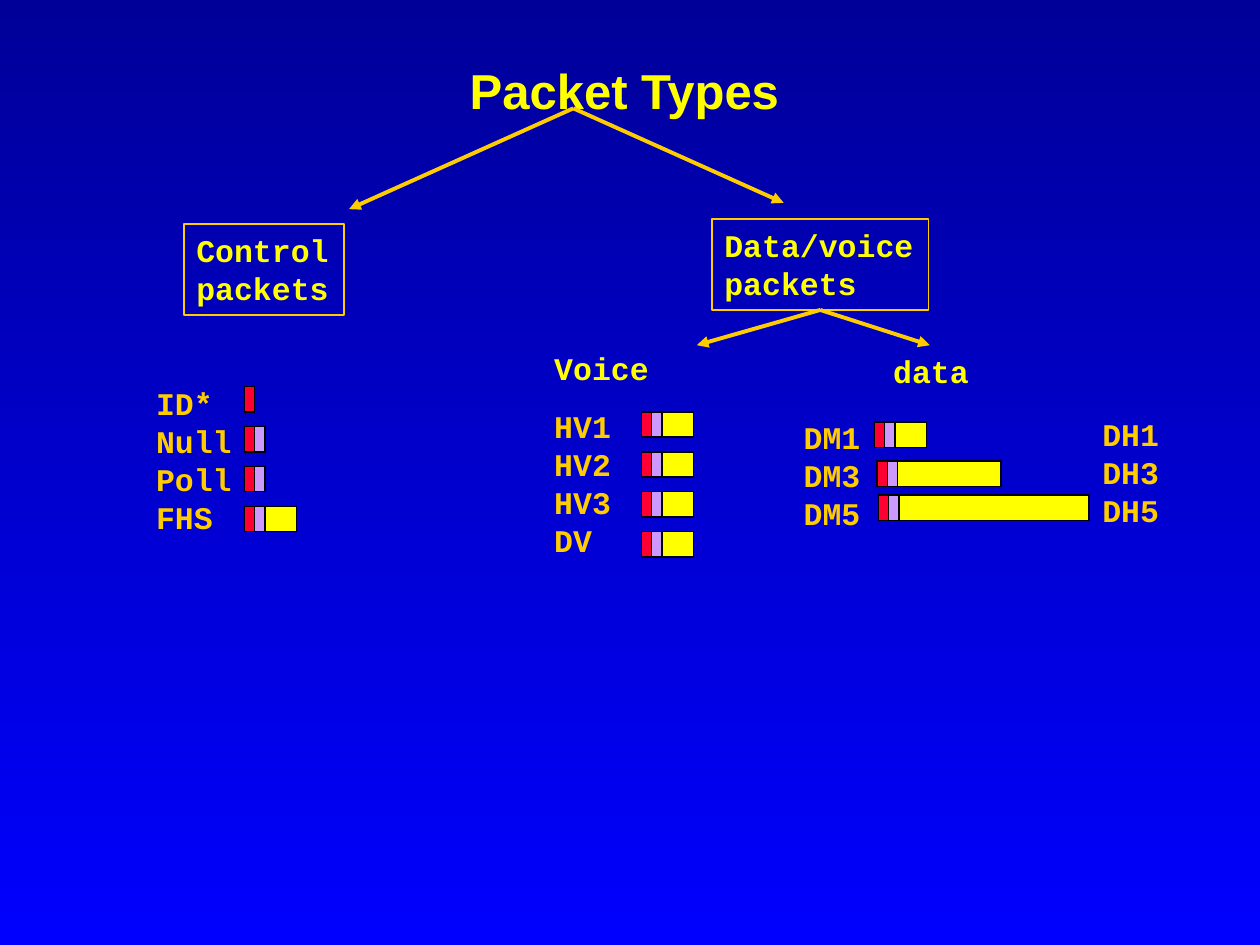
from lxml.etree import SubElement
from pptx import Presentation
from pptx.dml.color import RGBColor as Color
from pptx.enum.shapes import MSO_CONNECTOR as Connector, MSO_SHAPE as Shape
from pptx.enum.text import MSO_ANCHOR as Anchor, MSO_AUTO_SIZE as AutoSize, PP_ALIGN as Align
from pptx.oxml.ns import qn
from pptx.util import Inches, Pt

COLORS = {
    "top": "000099", "bottom": "0000FF", "heading": "FFFF00", "label": "FFCC00",
    "access": "FF0033", "header": "CC99FF", "payload": "FFFF00", "edge": "000000",
}
WIDTH, HEIGHT = Inches(10), Inches(7.5)
COLUMNS, ROWS = 100, 75
FIELD, PACKET_HEIGHT, PACKET_PITCH = 0.82, 2, 3.17
SHORT, MEDIUM, LONG = 2.5, 8.2, 15.1


def color(name):
    """Return a named colour."""
    return Color.from_string(COLORS[name])


def cols(count):
    """Return the width of a number of grid columns."""
    return round(WIDTH * count / COLUMNS)


def rows(count):
    """Return the height of a number of grid rows."""
    return round(HEIGHT * count / ROWS)


def place(left, top, width, height):
    """Turn a box in grid units into lengths."""
    return cols(left), rows(top), cols(width), rows(height)


def write(frame, text, name="heading", font="Courier New", size=18, spacing=Pt(21.7),
          align=Align.LEFT, anchor=Anchor.TOP, wrap=False, autosize=AutoSize.SHAPE_TO_FIT_TEXT):
    """Fill a text frame, one paragraph for each line of text."""
    frame.word_wrap, frame.auto_size, frame.vertical_anchor = wrap, autosize, anchor
    for index, line in enumerate(text.split("\n")):
        para = frame.add_paragraph() if index else frame.paragraphs[0]
        para.alignment, para.line_spacing = align, spacing
        span = para.add_run()
        span.text = line
        span.font.name, span.font.size, span.font.bold = font, Pt(size), True
        span.font.color.rgb = color(name)


def add_label(page, box, text, name="label"):
    """Add a text box with one or more lines."""
    write(page.shapes.add_textbox(*place(*box)).text_frame, text, name=name)


def add_category(page, box, text):
    """Add an outlined category box."""
    category = page.shapes.add_shape(Shape.RECTANGLE, *place(*box))
    category.shadow.inherit = False
    category.fill.background()
    category.line.color.rgb, category.line.width = color("label"), Pt(1)
    write(category.text_frame, text)
    return category


def add_arrow(page, start, end, source=None):
    """Add an arrow, joined to the bottom of a source box if there is one."""
    arrow = page.shapes.add_connector(
        Connector.STRAIGHT, cols(start[0]), rows(start[1]), cols(end[0]), rows(end[1]))
    if source is not None:
        arrow.begin_connect(source, 2)
    arrow.line.color.rgb, arrow.line.width = color("label"), Pt(2.25)
    SubElement(arrow.line._get_or_add_ln(), qn("a:tailEnd"), type="triangle")
    SubElement(arrow._element.spPr, qn("a:effectLst"))


def add_packet(page, left, top, fields=3, payload=SHORT):
    """Add a packet made of an access code, a header and a payload."""
    packet = page.shapes.add_group_shape()
    parts = (("access", FIELD), ("header", FIELD), ("payload", payload))
    for index, (name, width) in enumerate(parts[:fields]):
        part = packet.shapes.add_shape(
            Shape.RECTANGLE, *place(left + index * FIELD, top, width, PACKET_HEIGHT))
        part.shadow.inherit = False
        part.fill.solid()
        part.fill.fore_color.rgb = color(name)
        part.line.color.rgb, part.line.width = color("edge"), Pt(0.75)


def draw_title(page, box):
    """Place the slide title."""
    title = page.shapes.title
    title.left, title.top, title.width, title.height = place(*box)
    frame = title.text_frame
    frame.margin_left = frame.margin_right = frame.margin_top = frame.margin_bottom = 0
    write(frame, "Packet Types", font="Arial", size=28, spacing=1.0, align=Align.CENTER,
          anchor=Anchor.MIDDLE, wrap=True, autosize=AutoSize.NONE)


def draw_tree(page, box):
    """Draw the two categories and the arrows between the levels."""
    left, top = box[:2]
    add_category(page, (left, top + 9.2, 12.7, 7.2), "Control\npackets")
    traffic = add_category(page, (left + 41.9, top + 8.8, 17.2, 7.2), "Data/voice\npackets")
    root = (left + 30.9, top)
    add_arrow(page, root, (left + 13.1, top + 8))
    add_arrow(page, root, (left + 47.6, top + 7.5))
    for end in (40.7, 59.2):
        add_arrow(page, root, (left + end, top + 18.8), source=traffic)


def draw_control(page, box):
    """Draw the control packets, which grow by field."""
    left, top, width, height = box
    add_label(page, (left, top, 8, height), "ID*\nNull\nPoll\nFHS")
    for index, fields in enumerate((1, 2, 2, 3)):
        add_packet(page, left + 8, top + 0.7 + index * PACKET_PITCH, fields)


def draw_voice(page, box):
    """Draw the voice packets, all of one length."""
    left, top, width, height = box
    add_label(page, (left, top, 9.5, 4), "Voice", "heading")
    add_label(page, (left, top + 4.6, 6.5, height - 4.6), "HV1\nHV2\nHV3\nDV")
    for index in range(4):
        add_packet(page, left + 7.9, top + 5.5 + index * PACKET_PITCH)


def draw_data(page, box):
    """Draw the data packets, whose payload grows with the slots used."""
    left, top, width, height = box
    add_label(page, (left + 7.1, top, 8, 4), "data", "heading")
    add_label(page, (left, top + 5.3, 6.5, 10), "DM1\nDM3\nDM5")
    add_label(page, (left + width - 6.5, top + 5, 6.5, 10), "DH1\nDH3\nDH5")
    packets = ((6.6, 6.1, SHORT), (6.8, 9.2, MEDIUM), (6.9, 11.9, LONG))
    for across, down, payload in packets:
        add_packet(page, left + across, top + down, payload=payload)


def main():
    """Build and save the deck."""
    deck = Presentation()
    deck.slide_width, deck.slide_height = WIDTH, HEIGHT
    page = deck.slides.add_slide(deck.slide_layouts[5])
    fill = page.background.fill
    fill.gradient()
    fill.gradient_angle = 270
    for stop, name in zip(fill.gradient_stops, ("top", "bottom")):
        stop.color.rgb = color(name)
    draw_title(page, (10.8, 4.2, 77.5, 5.8))
    draw_tree(page, (14.6, 8.6, 59.2, 18.8))
    draw_control(page, (11.4, 30, 12.2, 13))
    draw_voice(page, (43, 27.2, 12, 17.6))
    draw_data(page, (62.8, 27.4, 30.2, 15.3))
    deck.save("out.pptx")


if __name__ == "__main__":
    main()
